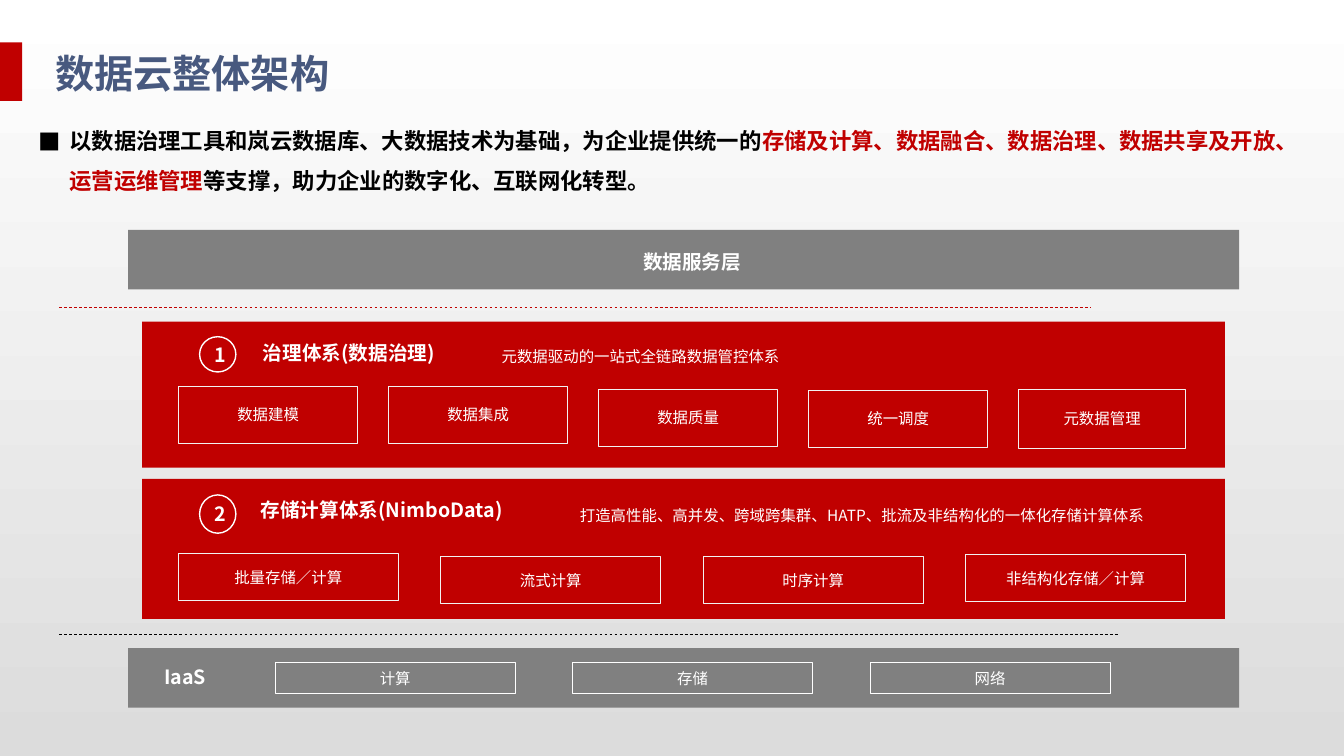
from lxml import etree
from pptx import Presentation
from pptx.dml.color import RGBColor
from pptx.enum import dml, shapes, text as text_enum
from pptx.oxml import ns
from pptx.util import Inches, Pt

FONT = "Noto Sans CJK SC"
RED = RGBColor(0xC0, 0x00, 0x00)
GRAY = RGBColor(0x80, 0x80, 0x80)
WHITE = RGBColor(0xFF, 0xFF, 0xFF)
OFF_WHITE = RGBColor(0xF2, 0xF2, 0xF2)
LIGHT_GRAY = RGBColor(0xDC, 0xDC, 0xDC)
BLACK = RGBColor(0x00, 0x00, 0x00)
TITLE_BLUE = RGBColor(0x48, 0x59, 0x7F)

RECTANGLE = shapes.MSO_SHAPE.RECTANGLE
OVAL = shapes.MSO_SHAPE.OVAL
CENTER = text_enum.PP_ALIGN.CENTER
LEFT = text_enum.PP_ALIGN.LEFT
MIDDLE = text_enum.MSO_ANCHOR.MIDDLE
TOP = text_enum.MSO_ANCHOR.TOP

presentation = Presentation()
presentation.slide_width = Inches(13.33)
presentation.slide_height = Inches(7.5)
slide = presentation.slides.add_slide(presentation.slide_layouts[6])


def write(shape, content, size=11, color=WHITE, bold=False, align=CENTER,
          anchor=MIDDLE, spacing=None, wrap=True, grow=False):
    """Fill a shape with one paragraph; content is a string or (string, color) runs."""
    frame = shape.text_frame
    frame.word_wrap = wrap
    frame.vertical_anchor = anchor
    if grow:
        frame.auto_size = text_enum.MSO_AUTO_SIZE.SHAPE_TO_FIT_TEXT
    paragraph = frame.paragraphs[0]
    paragraph.alignment = align
    if spacing:
        paragraph.line_spacing = spacing
    runs = [(content, color)] if isinstance(content, str) else content
    for words, run_color in runs:
        run = paragraph.add_run()
        run.text = words
        run.font.name = FONT
        run.font.size = Pt(size)
        run.font.bold = bold
        run.font.color.rgb = run_color
        east_asian = etree.SubElement(run.font._element, ns.qn("a:ea"))
        east_asian.set("typeface", FONT)
    return paragraph


def add_box(left, top, width, height, fill=None, line=None, line_width=0.75,
            kind=RECTANGLE):
    shape = slide.shapes.add_shape(
        kind, Inches(left), Inches(top), Inches(width), Inches(height))
    shape.shadow.inherit = False
    if fill is None:
        shape.fill.background()
    else:
        shape.fill.solid()
        shape.fill.fore_color.rgb = fill
    if line is None:
        shape.line.fill.background()
    else:
        shape.line.color.rgb = line
        shape.line.width = Pt(line_width)
    return shape


# Background gradient, white at the top
background = slide.background.fill
background.gradient()
background.gradient_angle = 270
for stop, color in zip(background.gradient_stops, (WHITE, LIGHT_GRAY)):
    stop.color.rgb = color

# Accent bar and coloured bands
add_box(0, 0.42, 0.22, 0.58, fill=RED)
for left, top, width, height, color in (
        (1.27, 2.28, 11.02, 0.59, GRAY),
        (1.41, 3.19, 10.74, 1.45, RED),
        (1.41, 4.75, 10.74, 1.39, RED),
        (1.27, 6.43, 11.02, 0.59, GRAY)):
    add_box(left, top, width, height, fill=color)

# Dashed separators
for y, right, color in ((3.05, 10.81, RED), (6.29, 11.1, BLACK)):
    separator = slide.shapes.add_connector(
        shapes.MSO_CONNECTOR.STRAIGHT,
        Inches(0.59), Inches(y), Inches(right), Inches(y))
    separator.line.color.rgb = color
    separator.line.width = Pt(0.5)
    separator.line.dash_style = dml.MSO_LINE.DASH
    etree.SubElement(separator._element.spPr, ns.qn("a:effectLst"))

# Title and labels
heading = dict(size=14, bold=True, anchor=TOP, grow=True)
note = dict(anchor=TOP, grow=True)
labels = (
    (0.45, 0.32, 11.17, 0.81, "数据云整体架构",
     dict(size=28, bold=True, color=TITLE_BLUE, align=LEFT)),
    (6.28, 2.43, 1.18, 0.34, "数据服务层", dict(heading, align=LEFT, wrap=False)),
    (2.27, 3.33, 2.38, 0.34, "治理体系(数据治理)", heading),
    (4.54, 3.3, 3.63, 0.46, "元数据驱动的一站式全链路数据管控体系",
     dict(note, spacing=1.5)),
    (2.3, 4.89, 2.97, 0.58, "存储计算体系(NimboData)", heading),
    (5.12, 4.92, 6.86, 0.59,
     "打造高性能、高并发、跨域跨集群、HATP、批流及非结构化的一体化存储计算体系",
     dict(note, spacing=1.3)),
    (1.53, 6.55, 0.62, 0.38, "IaaS", dict(heading, align=LEFT, wrap=False)),
)
for left, top, width, height, words, style in labels:
    label = slide.shapes.add_textbox(
        Inches(left), Inches(top), Inches(width), Inches(height))
    write(label, words, **style)

# Summary bullet
summary = slide.shapes.add_textbox(
    Inches(0.28), Inches(1.08), Inches(12.68), Inches(0.86))
paragraph = write(summary, [
    ("以数据治理工具和岚云数据库、大数据技术为基础，为企业提供统一的", BLACK),
    ("存储及计算、数据融合、数据治理、数据共享及开放、运营运维管理", RED),
    ("等支撑，助力企业的数字化、互联网化转型。", BLACK),
], size=16, bold=True, align=LEFT, anchor=TOP, spacing=1.5, grow=True)
properties = paragraph._element.get_or_add_pPr()
properties.set("marL", str(Inches(0.31)))
properties.set("indent", str(Inches(-0.31)))
etree.SubElement(properties, ns.qn("a:buFont")).set("typeface", FONT)
etree.SubElement(properties, ns.qn("a:buChar")).set("char", "■")

# Numbered circles
for number, top, height in (("1", 3.34, 0.35), ("2", 4.91, 0.38)):
    circle = add_box(1.98, top, 0.36, height, line=WHITE, line_width=1, kind=OVAL)
    write(circle, number, size=14, bold=True)

# Rows of modules: left, pitch, line colour, then (name, top, width, height)
module_rows = (
    (1.77, 2.083, OFF_WHITE, (
        ("数据建模", 3.83, 1.78, 0.57), ("数据集成", 3.83, 1.78, 0.57),
        ("数据质量", 3.86, 1.78, 0.57), ("统一调度", 3.87, 1.78, 0.57),
        ("元数据管理", 3.86, 1.66, 0.59))),
    (1.77, 2.603, OFF_WHITE, (
        ("批量存储／计算", 5.49, 2.18, 0.47), ("流式计算", 5.52, 2.18, 0.47),
        ("时序计算", 5.52, 2.18, 0.47), ("非结构化存储／计算", 5.5, 2.18, 0.47))),
    (2.73, 2.95, WHITE, (
        ("计算", 6.57, 2.38, 0.31), ("存储", 6.57, 2.38, 0.31),
        ("网络", 6.57, 2.38, 0.31))),
)
for left, pitch, color, modules in module_rows:
    for column, (name, top, width, height) in enumerate(modules):
        write(add_box(left + column * pitch, top, width, height, line=color), name)

presentation.save("out.pptx")
